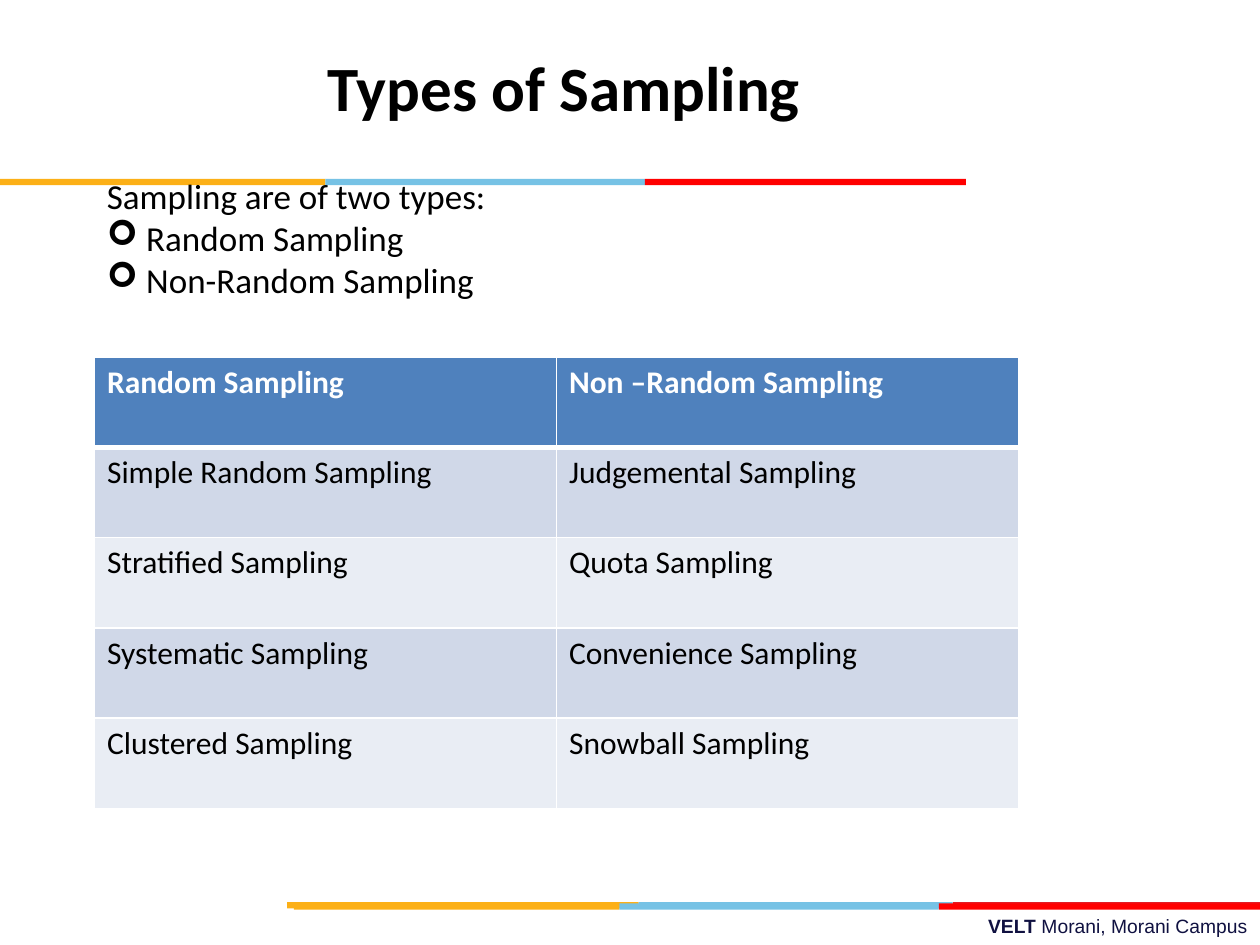
from lxml.etree import SubElement
from pptx import Presentation
from pptx.dml.color import RGBColor
from pptx.enum.shapes import MSO_SHAPE as Shape
from pptx.enum.text import MSO_ANCHOR as Anchor, PP_ALIGN as Align
from pptx.oxml.ns import qn
from pptx.util import Pt

BLACK = RGBColor(0, 0, 0)
WHITE = RGBColor(255, 255, 255)
NAVY = RGBColor(0x10, 0x11, 0x41)
GOLD = RGBColor(0xFC, 0xB0, 0x17)
SKY = RGBColor(0x76, 0xC2, 0xE5)
RED = RGBColor(255, 0, 0)
BRICK = RGBColor(0xE3, 0x1C, 0x24)
BLUE = RGBColor(0x4F, 0x81, 0xBD)
BANDS = [RGBColor(0xD0, 0xD8, 0xE8), RGBColor(0xE9, 0xED, 0xF4)]

# Content
TITLE = "Types of Sampling"
INTRO = "Sampling are of two types:"
TYPES = ["Random Sampling", "Non-Random Sampling"]
ROWS = [
    ("Random Sampling", "Non –Random Sampling"),
    ("Simple Random Sampling", "Judgemental Sampling"),
    ("Stratified Sampling", "Quota Sampling"),
    ("Systematic Sampling", "Convenience Sampling"),
    ("Clustered Sampling", "Snowball Sampling"),
]
FOOTER = [("VELT ", True), ("Morani, Morani Campus", False)]

# Stripes: top, edges from left to right, colours
STRIPES = [
    (515.5, (164, 365, 544.5, 720), (GOLD, SKY, BRICK)),
    (516.2, (168, 354, 536.5, 720), (GOLD, SKY, RED)),
    (102.2, (0, 186, 368.5, 552), (GOLD, SKY, RED)),
]
THICK = 3.6

# Text formats
HEAD = dict(name="Calibri", size=Pt(36), bold=True)
BODY = dict(name="Calibri", size=Pt(20), bold=False)
CELL = dict(name="Calibri", size=Pt(18))
FOOT = dict(name="Arial", size=Pt(11))


def write(para, text, form, color):
    run = para.add_run()
    run.text = text
    for key, val in form.items():
        setattr(run.font, key, val)
    run.font.color.rgb = color
    return run


def place(shape, left, top, width, height):
    box = dict(left=left, top=top, width=width, height=height)
    for key, val in box.items():
        setattr(shape, key, Pt(val))


def bullet(para, mark, indent):
    props = para._p.get_or_add_pPr()
    props.set("marL", str(Pt(indent)))
    props.set("indent", str(-Pt(indent)))
    SubElement(props, qn("a:buFont")).set("typeface", "Wingdings")
    SubElement(props, qn("a:buChar")).set("char", mark)


def border(cell, sides):
    props = cell._tc.get_or_add_tcPr()
    for spot, (side, width) in enumerate(sides.items()):
        line = SubElement(props, qn("a:ln" + side))
        line.set("w", str(Pt(width)))
        fill = SubElement(line, qn("a:solidFill"))
        SubElement(fill, qn("a:srgbClr")).set("val", str(WHITE))
        props.insert(spot, line)


deck = Presentation()
deck.slide_width, deck.slide_height = Pt(720), Pt(540)
slide = deck.slides.add_slide(deck.slide_layouts[5])
shapes = slide.shapes

# Footer
foot = shapes.add_textbox(Pt(257.8), Pt(519), Pt(462.2), Pt(21)).text_frame
foot.word_wrap = True
para = foot.paragraphs[0]
para.alignment = Align.RIGHT
for text, bold in FOOTER:
    write(para, text, FOOT | dict(bold=bold), NAVY)

# Stripes
for top, edges, colors in STRIPES:
    for left, right, color in zip(edges, edges[1:], colors):
        bar = shapes.add_shape(Shape.RECTANGLE, Pt(left), Pt(top),
                               Pt(right - left), Pt(THICK))
        bar.shadow.inherit = False
        bar.fill.solid()
        bar.fill.fore_color.rgb = color
        bar.line.fill.background()

# Title
title = shapes.title
place(title, 180, 24, 287.5, 51)
frame = title.text_frame
frame.word_wrap = False
frame.vertical_anchor = Anchor.TOP
para = frame.paragraphs[0]
para.alignment = Align.LEFT
write(para, TITLE, HEAD, BLACK)

# Intro and list
frame = shapes.add_textbox(Pt(54), Pt(96), Pt(233), Pt(128)).text_frame
frame.word_wrap = False
write(frame.paragraphs[0], INTRO, BODY, BLACK)
for kind in TYPES:
    para = frame.add_paragraph()
    bullet(para, "➢", 22.5)
    write(para, kind, BODY, BLACK)

# Table
table = shapes.add_table(len(ROWS), 2, Pt(54), Pt(204),
                         Pt(528), Pt(258)).table
for r, row in enumerate(ROWS):
    head = r == 0
    for c, text in enumerate(row):
        cell = table.cell(r, c)
        cell.fill.solid()
        cell.fill.fore_color.rgb = BLUE if head else BANDS[(r - 1) % 2]
        border(cell, dict(L=1, R=1, T=3 if r == 1 else 1, B=3 if head else 1))
        write(cell.text_frame.paragraphs[0], text,
              CELL | dict(bold=head), WHITE if head else BLACK)

deck.save("out.pptx")
